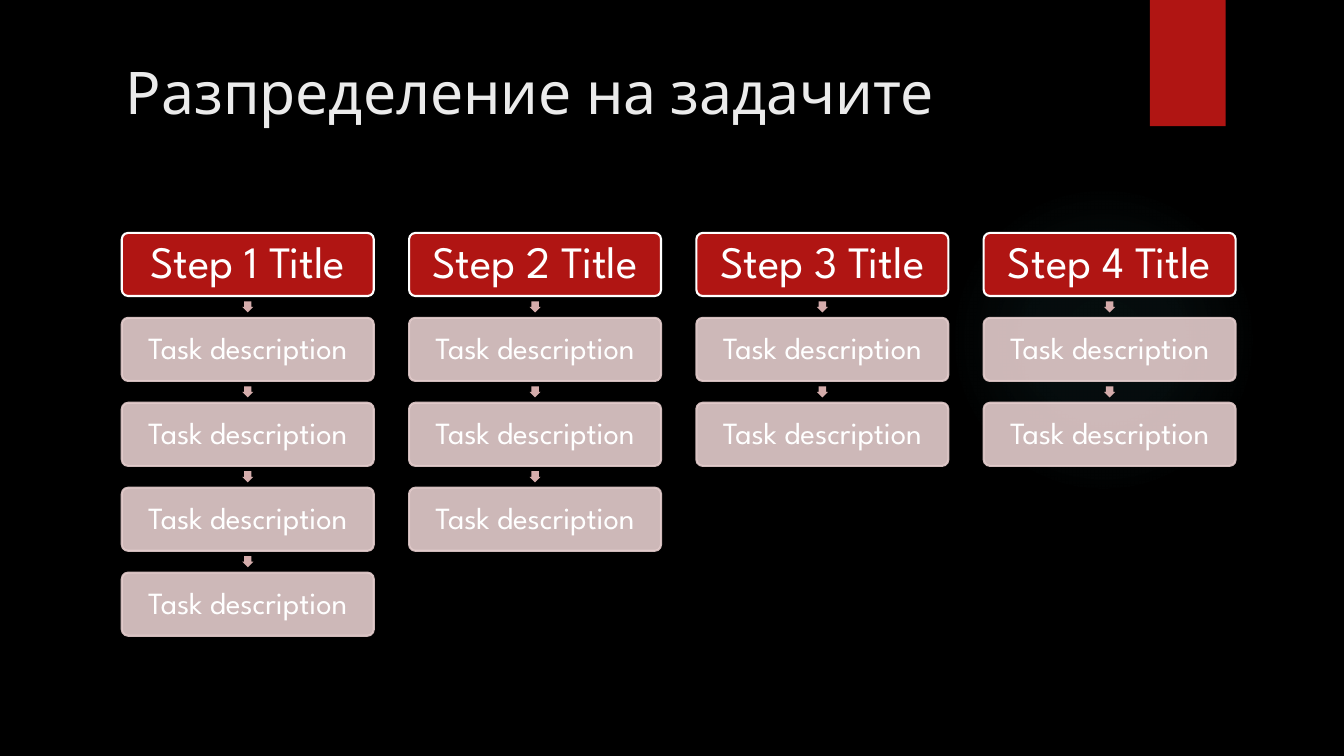
from lxml import etree
from pptx import Presentation
from pptx.dml.color import RGBColor
from pptx.enum.shapes import MSO_SHAPE
from pptx.enum.text import MSO_ANCHOR, PP_ALIGN
from pptx.oxml import parse_xml
from pptx.oxml.ns import qn
from pptx.util import Cm, Pt

RECTANGLE, ROUNDED = MSO_SHAPE.RECTANGLE, MSO_SHAPE.ROUNDED_RECTANGLE
ELLIPSE, DOWN_ARROW = MSO_SHAPE.OVAL, MSO_SHAPE.DOWN_ARROW
TOP, MIDDLE = MSO_ANCHOR.TOP, MSO_ANCHOR.MIDDLE
LEFT, CENTER = PP_ALIGN.LEFT, PP_ALIGN.CENTER

FONT = "League Spartan"
RED, PINK, ARROW_PINK, WHITE = "B01513", "E4CCCC", "D4ACAB", "FFFFFF"

deck = Presentation()
deck.slide_width, deck.slide_height = Cm(33.87), Cm(19.05)
page = deck.slides.add_slide(deck.slide_layouts[6])
page.background.fill.solid()
page.background.fill.fore_color.rgb = RGBColor.from_string("000000")


def add_block(kind, left, top, width, height, color, line=None, opacity=100):
    block = page.shapes.add_shape(kind, Cm(left), Cm(top), Cm(width), Cm(height))
    block.shadow.inherit = False
    block.fill.solid()
    block.fill.fore_color.rgb = RGBColor.from_string(color)
    if line:
        block.line.color.rgb = RGBColor.from_string(line)
        block.line.width = Pt(1.5)
    else:
        block.line.fill.background()
    if opacity < 100:
        for tint in block._element.spPr.iter(qn("a:srgbClr")):
            etree.SubElement(tint, qn("a:alpha")).set("val", str(opacity * 1000))
    return block


def write_text(box, text, size, color=WHITE, align=CENTER, anchor=MIDDLE,
               inset=0.1, spacing=0.9):
    frame = box.text_frame
    frame.word_wrap = True
    frame.vertical_anchor = anchor
    frame.margin_left = frame.margin_right = Cm(inset)
    frame.margin_top = frame.margin_bottom = Cm(inset / 2 if anchor == TOP else inset)
    para = frame.paragraphs[0]
    para.alignment = align
    para.line_spacing = spacing
    span = para.add_run()
    span.text = text
    span.font.name = FONT
    span.font.size = Pt(size)
    span.font.color.rgb = RGBColor.from_string(color)


# Soft glow on the right
glow = add_block(ELLIPSE, 23.9, 4.65, 7.82, 7.82, "50B9C1")
stops = "".join(
    f'<a:gs pos="{position * 1000}"><a:srgbClr val="50B9C1">'
    f'<a:alpha val="{alpha * 1000}"/></a:srgbClr></a:gs>'
    for position, alpha in [(0, 7), (36, 6), (69, 0), (100, 0)])
gradient = parse_xml(
    '<a:gradFill xmlns:a="http://schemas.openxmlformats.org/drawingml/2006/main">'
    f'<a:gsLst>{stops}</a:gsLst><a:path path="circle">'
    '<a:fillToRect l="50000" t="50000" r="50000" b="50000"/></a:path></a:gradFill>')
glow_properties = glow._element.spPr
glow_properties.replace(glow_properties.find(qn("a:solidFill")), gradient)

# Red tab and title
add_block(RECTANGLE, 28.98, 0, 1.91, 3.18, RED)
title = page.shapes.add_textbox(Cm(2.92), Cm(1.27), Cm(25), Cm(3.89))
write_text(title, "Разпределение на задачите", 42, color="EBEBEB", align=LEFT,
           anchor=TOP, inset=0.25, spacing=1.0)

# Step columns: a heading, then tasks joined by small arrows
FIRST_LEFT, FIRST_TOP = 3.07, 5.87
BOX_WIDTH, BOX_HEIGHT = 6.35, 1.59
COLUMN_PITCH, ROW_PITCH = 7.24, 2.14
ARROW_SIZE = 0.28
TASK_COUNTS = [4, 3, 2, 2]

for column, task_count in enumerate(TASK_COUNTS):
    left = FIRST_LEFT + column * COLUMN_PITCH
    heading = add_block(ROUNDED, left, FIRST_TOP, BOX_WIDTH, BOX_HEIGHT, RED, line=WHITE)
    heading.adjustments[0] = 0.1
    write_text(heading, f"Step {column + 1} Title", 32)

    for row in range(1, task_count + 1):
        top = FIRST_TOP + row * ROW_PITCH
        gap = ROW_PITCH - BOX_HEIGHT
        arrow = add_block(DOWN_ARROW, left + (BOX_WIDTH - ARROW_SIZE) / 2,
                          top - (gap + ARROW_SIZE) / 2, ARROW_SIZE, ARROW_SIZE, ARROW_PINK)
        arrow.adjustments[0] = 0.67
        task = add_block(ROUNDED, left, top, BOX_WIDTH, BOX_HEIGHT, PINK,
                         line=PINK, opacity=90)
        task.adjustments[0] = 0.1
        write_text(task, "Task description", 22, inset=0.08)

deck.save("out.pptx")
